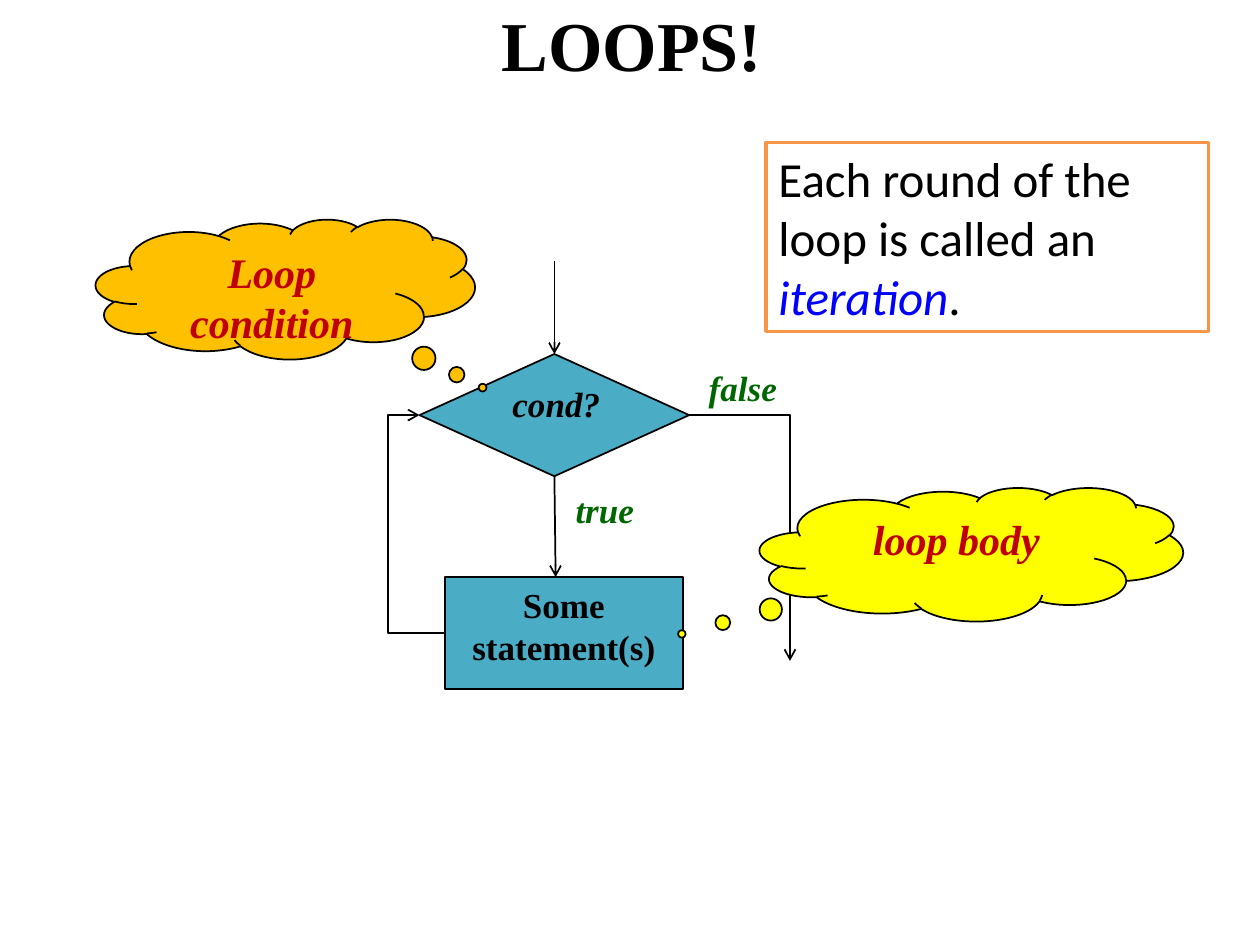
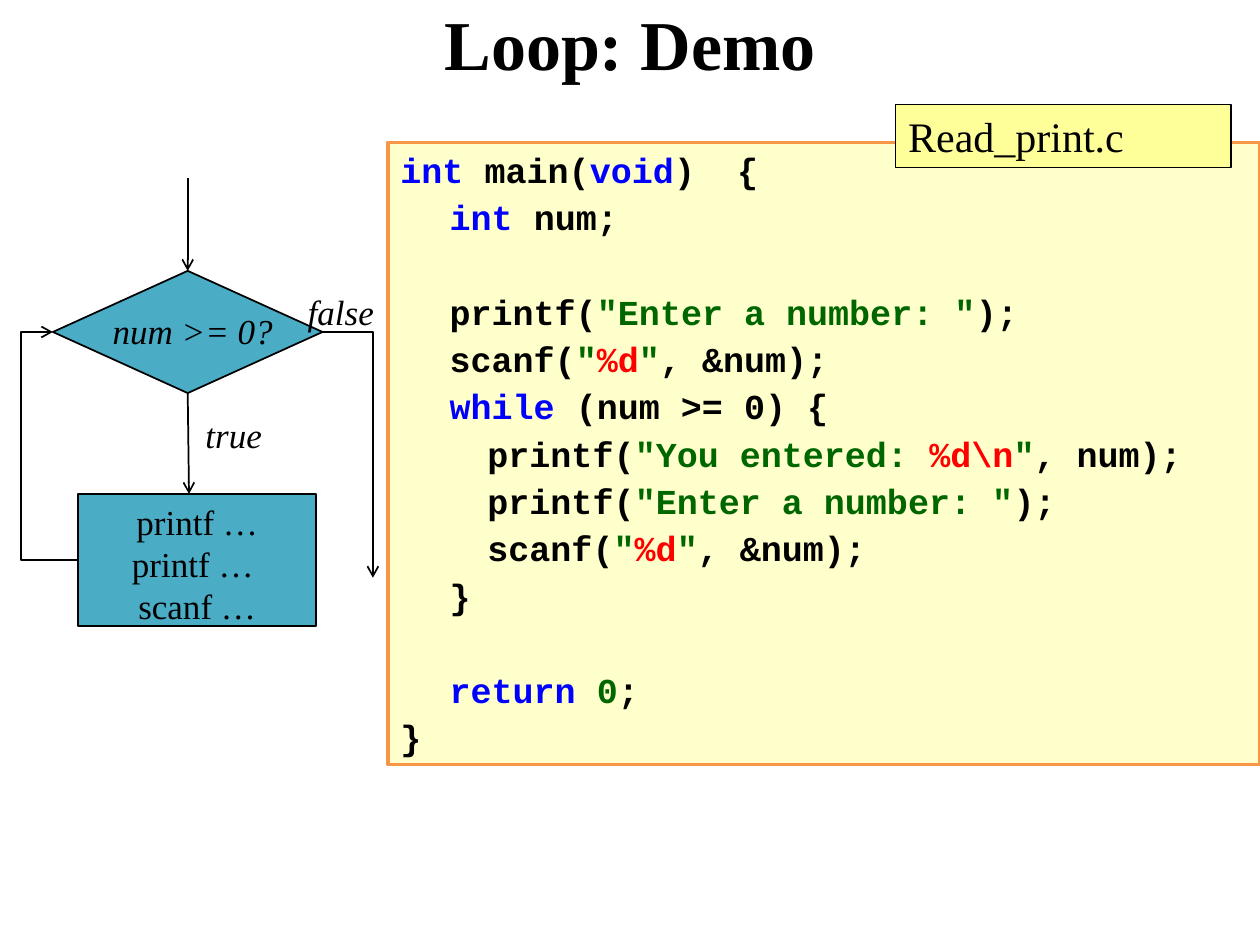
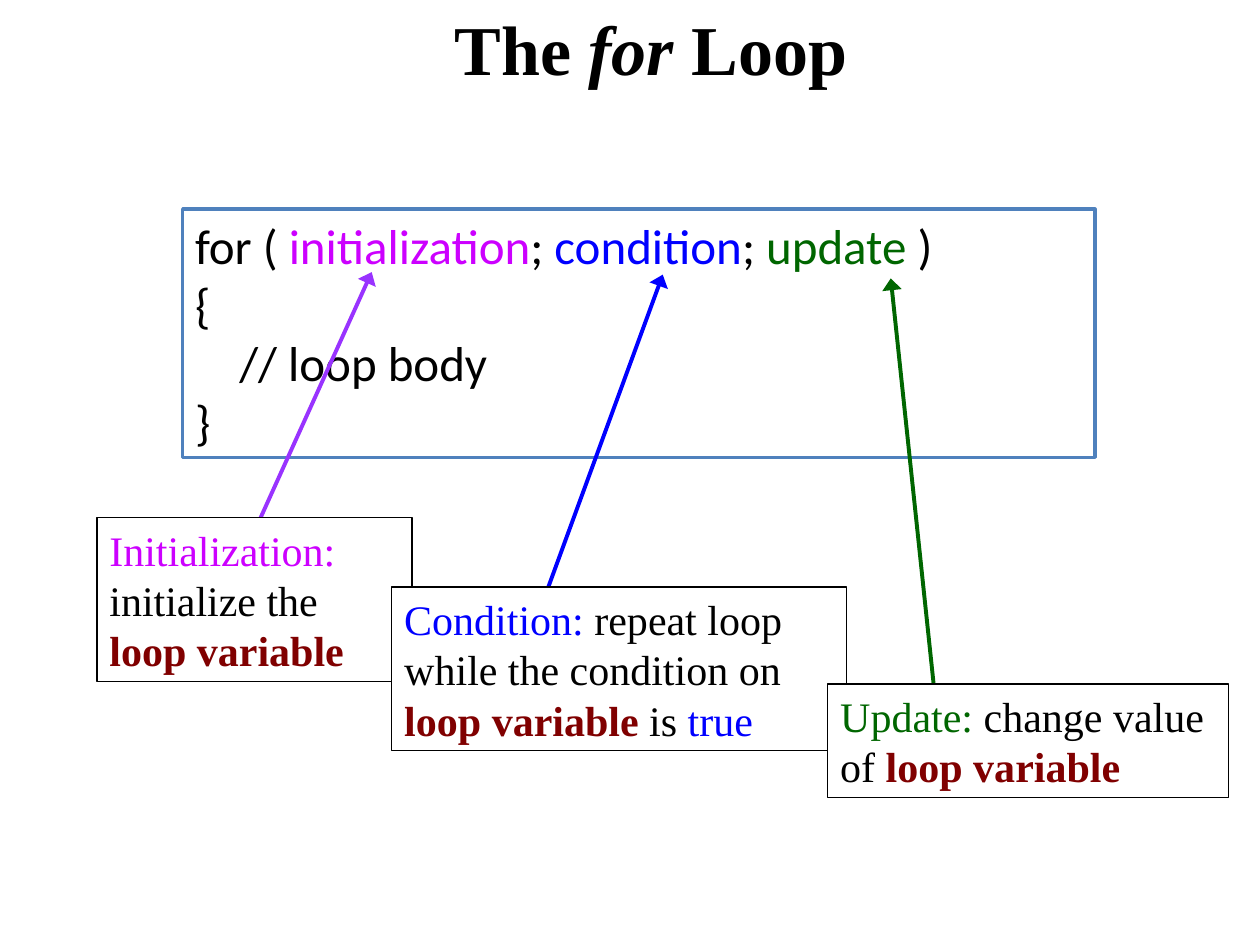
from lxml import etree
from pptx import Presentation
from pptx.dml.color import RGBColor
from pptx.enum import shapes, text
from pptx.oxml import ns
from pptx.util import Inches, Pt

SERIF, SANS, MONO = "Times New Roman", "Calibri", "Courier New"
BLACK, WHITE, TEAL = "000000", "FFFFFF", "4BACC6"
GREEN, BLUE, RED, CRIMSON = "006600", "0000FF", "FF0000", "C00000"
MAGENTA, VIOLET, MAROON = "CC00FF", "9933FF", "800000"
ORANGE, STEEL = "F79646", "4F81BD"
CENTER = text.PP_ALIGN.CENTER
SHAPE = shapes.MSO_SHAPE

# A paragraph is a list of runs: (text, colour, style), style holding "b" and "i".
TITLES = [
    ((0.42, 0, 9.33, 0.69), [("LOOPS! ", BLACK, "b")]),
    ((0.5, 0, 9, 0.67), [("Loop: Demo", BLACK, "b")]),
    ((0.58, -0.08, 9.17, 0.92),
     [("The ", BLACK, "b"), ("for", BLACK, "bi"), (" Loop", BLACK, "b")]),
]

# Label places are left, top, width relative to the decision's corner.
GENERAL_FLOW = dict(
    corner=(3.33, 2.81), bold="b", label_color=GREEN, exit_run=0.8,
    condition=("cond?", (0.41, 0.18, 1.35)),
    true_place=(0.94, 1.02, 1.06), false_place=(2.09, 0.05, 0.95),
    body=["Some", "statement(s)"], body_height=0.89)
NUMBER_FLOW = dict(
    corner=(0.42, 2.15), bold="", label_color=BLACK, exit_run=0.4,
    condition=("num >= 0?", (0.31, 0.26, 1.6)),
    true_place=(0.98, 1.08, 0.91), false_place=(1.85, 0.11, 0.87),
    body=["printf …", "printf … ", "scanf …"], body_height=1.05)

CLOUDS = [
    ("loop body", (6.03, 3.87, 3.36, 1.06), (-0.684, 0.596), "FFFF00"),
    ("Loop condition", (0.76, 1.74, 3.01, 1.11), (0.52, 0.704), "FFC000"),
]
ITERATION = [[("Each round of the loop is called an ", BLACK, ""),
              ("iteration", BLUE, "i"), (".", BLACK, "")]]

PROMPT = [("printf(", BLACK, "b"), ('"Enter a number: "', GREEN, "b"),
          (");", BLACK, "b")]
SCAN = [("scanf(", BLACK, "b"), ('"', GREEN, "b"), ("%d", RED, "b"),
        ('"', GREEN, "b"), (", &num);", BLACK, "b")]
TAB = ("\t", BLACK, "b")
CODE = [
    [("int ", BLUE, "b"), ("main(", BLACK, "b"), ("void", BLUE, "b"),
     (")  {", BLACK, "b")],
    [TAB, ("int", BLUE, "b"), (" num;", BLACK, "b")],
    [],
    [TAB, *PROMPT],
    [TAB, *SCAN],
    [TAB, ("while", BLUE, "b"), (" (num >= 0) {", BLACK, "b")],
    [TAB, TAB, ("printf(", BLACK, "b"), ('"You entered: ', GREEN, "b"),
     ("%d\\n", RED, "b"), ('"', GREEN, "b"), (", num);", BLACK, "b")],
    [TAB, TAB, *PROMPT],
    [TAB, TAB, *SCAN],
    [TAB, ("}", BLACK, "b")],
    [],
    [TAB, ("return ", BLUE, "b"), ("0", GREEN, "b"), (";", BLACK, "b")],
    [("}", BLACK, "b")],
]
CODE_TABS = (0.39, 0.69, 0.98, 3.23)

FOR_SYNTAX = [
    [("for ( ", BLACK, ""), ("initialization", MAGENTA, ""), ("; ", BLACK, ""),
     ("condition", BLUE, ""), ("; ", BLACK, ""), ("update", GREEN, ""),
     (" )", BLACK, "")],
    [("{", BLACK, "")],
    [("    // loop body", BLACK, "")],
    [("}", BLACK, "")],
]
# Box, arrow start, arrow tip, arrow colour, runs
FOR_NOTES = [
    ((0.77, 4.11, 2.5, 1.3), (2.05, 4.15), (2.95, 2.16), VIOLET,
     [("Initialization: ", MAGENTA, ""), ("initialize the ", BLACK, ""),
      ("loop variable", MAROON, "b")]),
    ((3.11, 4.66, 3.61, 1.3), (4.22, 5.02), (5.26, 2.18), BLUE,
     [("Condition: ", BLUE, ""), ("repeat loop while the condition on ", BLACK, ""),
      ("loop variable ", MAROON, "b"), ("is ", BLACK, ""), ("true", BLUE, "")]),
    ((6.57, 5.43, 3.18, 0.9), (7.41, 5.43), (7.07, 2.21), GREEN,
     [("Update: ", GREEN, ""), ("change value of ", BLACK, ""),
      ("loop variable", MAROON, "b")]),
]


def rgb(color):
    return RGBColor.from_string(color)


def inches(values):
    return [Inches(value) for value in values]


def write(shape, paragraphs, size, font=SERIF, align=None, gap=0, tabs=()):
    """Fill a shape with top-anchored paragraphs of styled runs."""
    frame = shape.text_frame
    frame.word_wrap = True
    frame.vertical_anchor = text.MSO_ANCHOR.TOP
    for index, runs in enumerate(paragraphs):
        paragraph = frame.add_paragraph() if index else frame.paragraphs[0]
        paragraph.alignment = align or text.PP_ALIGN.LEFT
        paragraph.space_before = Pt(gap if index else 0)
        if tabs:
            stops = etree.SubElement(paragraph._p.get_or_add_pPr(), ns.qn("a:tabLst"))
            for stop in tabs:
                etree.SubElement(stops, ns.qn("a:tab"), pos=str(Inches(stop)), algn="l")
        for words, color, style in runs:
            run = paragraph.add_run()
            run.text = words
            run.font.name, run.font.size = font, Pt(size)
            run.font.color.rgb = rgb(color)
            run.font.bold, run.font.italic = "b" in style, "i" in style
        if not runs:
            end = etree.SubElement(paragraph._p, ns.qn("a:endParaRPr"),
                                   sz=str(size * 100), b="1")
            etree.SubElement(end, ns.qn("a:latin"), typeface=font)


def add_box(slide, place, fill, line=BLACK, width=1, kind=SHAPE.RECTANGLE):
    box = slide.shapes.add_shape(kind, *inches(place))
    box.shadow.inherit = False
    box.fill.solid()
    box.fill.fore_color.rgb = rgb(fill)
    box.line.color.rgb = rgb(line)
    box.line.width = Pt(width)
    return box


def add_label(slide, place, runs, size=20):
    label = slide.shapes.add_textbox(*inches(place))
    write(label, [runs], size, align=CENTER)
    return label


def add_arrow(slide, start, tip, color=BLACK, width=1, head="arrow",
              head_width="med", kind=shapes.MSO_CONNECTOR.STRAIGHT):
    arrow = slide.shapes.add_connector(kind, *inches(start + tip))
    arrow.line.color.rgb = rgb(color)
    arrow.line.width = Pt(width)
    etree.SubElement(arrow.line._get_or_add_ln(), ns.qn("a:tailEnd"),
                     type=head, w=head_width)
    etree.SubElement(arrow._element.spPr, ns.qn("a:effectLst"))
    return arrow


def add_elbow(slide, start, tip, preset, bend=None):
    """Bent arrow; bend is where it turns, as a share of its width."""
    elbow = add_arrow(slide, start, tip, kind=shapes.MSO_CONNECTOR.ELBOW)
    geometry = elbow._element.spPr.find(ns.qn("a:prstGeom"))
    geometry.set("prst", preset)
    if bend is not None:
        guides = geometry.find(ns.qn("a:avLst"))
        etree.SubElement(guides, ns.qn("a:gd"), name="adj1",
                         fmla=f"val {round(bend * 100000)}")


def add_flowchart(slide, flow):
    left, top = flow["corner"]
    width, height = 2.14, 0.97
    center, middle, bottom = left + width / 2, top + height / 2, top + height
    indent, loop_gap = 0.2, 0.25
    body_left, body_top = left + indent, top + 1.77
    bold = flow["bold"]

    def label(words, place, color):
        x, y, label_width = place
        add_label(slide, (left + x, top + y, label_width, 0.44),
                  [(words, color, bold + "i")])

    decision = add_box(slide, (left, top, width, height), TEAL,
                       kind=SHAPE.FLOWCHART_DECISION)
    entry = add_arrow(slide, (center, top - 0.74), (center, top))
    entry.end_connect(decision, 0)
    label(*flow["condition"], BLACK)
    body = add_box(slide, (body_left, body_top, 1.89, flow["body_height"]), TEAL,
                   kind=SHAPE.FLOWCHART_PROCESS)
    write(body, [[(line, BLACK, bold)] for line in flow["body"]], 20, align=CENTER)
    label("true", flow["true_place"], flow["label_color"])
    label("false", flow["false_place"], flow["label_color"])
    into_body = add_arrow(slide, (center, bottom), (center + 0.01, body_top))
    into_body.begin_connect(decision, 2)
    add_elbow(slide, (body_left, body_top + flow["body_height"] / 2), (left, middle),
              "bentConnector3", (indent + loop_gap) / indent)
    right = left + width
    add_elbow(slide, (right, middle), (right + flow["exit_run"], middle + 1.95),
              "bentConnector2")


def add_titled_slide(deck, place, runs):
    slide = deck.slides.add_slide(deck.slide_layouts[6])
    title = add_label(slide, place, runs, 40)
    frame = title.text_frame
    frame.vertical_anchor = text.MSO_ANCHOR.MIDDLE
    frame.margin_left = frame.margin_right = 0
    frame.margin_top = frame.margin_bottom = 0
    return slide


def main():
    deck = Presentation()
    deck.slide_width, deck.slide_height = Inches(10), Inches(7.5)
    loops, demo, for_loop = [add_titled_slide(deck, *title) for title in TITLES]

    add_flowchart(loops, GENERAL_FLOW)
    for words, place, pointer, fill in CLOUDS:
        cloud = add_box(loops, place, fill, kind=SHAPE.CLOUD_CALLOUT)
        cloud.adjustments[0], cloud.adjustments[1] = pointer
        write(cloud, [[(words, CRIMSON, "bi")]], 24, align=CENTER)
    iteration = add_box(loops, (6.08, 1.13, 3.51, 1.5), WHITE, ORANGE, 2)
    write(iteration, ITERATION, 28, SANS)

    add_flowchart(demo, NUMBER_FLOW)
    code = add_box(demo, (3.08, 1.13, 6.92, 4.94), "FFFFCC", ORANGE, 2)
    write(code, CODE, 20, MONO, gap=3, tabs=CODE_TABS)
    file_name = add_box(demo, (7.11, 0.83, 2.66, 0.5), "FFFF99", width=0.75)
    write(file_name, [[("Read_print.c", BLACK, "")]], 24)

    syntax = add_box(for_loop, (1.45, 1.66, 7.24, 1.97), WHITE, STEEL, 2)
    write(syntax, FOR_SYNTAX, 28, SANS)
    for place, start, tip, color, runs in FOR_NOTES:
        add_arrow(for_loop, start, tip, color, 2.25, "triangle", "lg")
        note = add_box(for_loop, place, WHITE, width=0.75)
        write(note, [runs], 24)

    deck.save("out.pptx")


if __name__ == "__main__":
    main()
